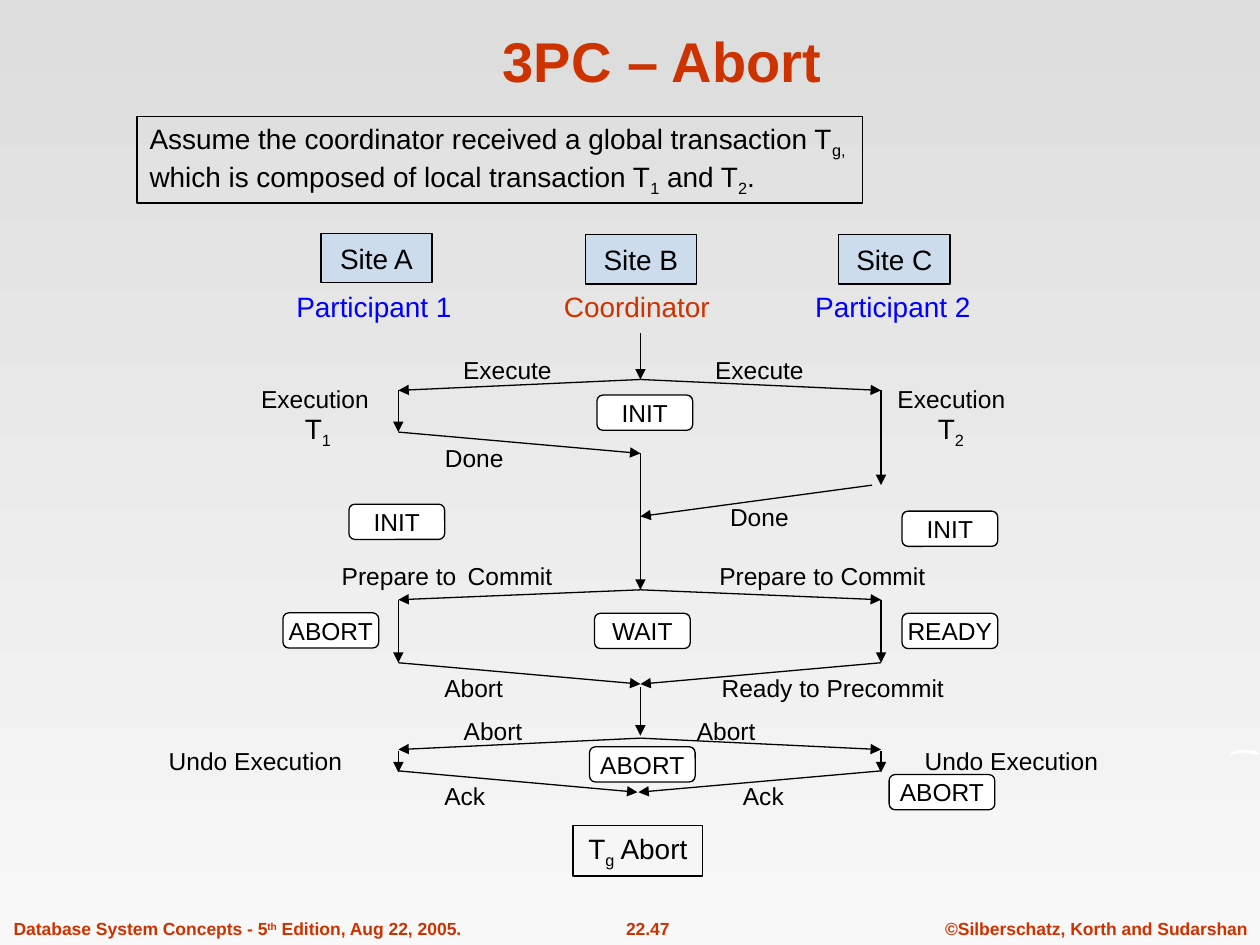
from dataclasses import dataclass
from typing import Optional

from lxml.etree import SubElement
from pptx import Presentation
from pptx.dml.color import RGBColor
from pptx.enum.shapes import MSO_CONNECTOR, MSO_SHAPE
from pptx.enum.text import MSO_ANCHOR, PP_ALIGN
from pptx.oxml.ns import qn
from pptx.util import Cm, Pt


@dataclass(frozen=True)
class Theme:
    font: str = "Arial"
    accent: str = "CC3300"
    participant: str = "0000FF"
    ink: str = "000000"
    site: str = "99CCFF"
    white: str = "FFFFFF"
    sky_top: str = "DDDDDD"
    sky_bottom: str = "F8F8F8"
    title_size: int = 32
    head_size: int = 16
    body_size: int = 14
    foot_size: int = 10
    line_width: float = 0.75


THEME = Theme()


@dataclass(frozen=True)
class Box:
    """Text centred on x, y (cm); |_x| is subscript and |^x| superscript."""
    text: str
    x: float
    y: float
    width: float = 3.0
    height: float = 0.8
    size: int = THEME.body_size
    color: str = THEME.ink
    bold: bool = False
    align: PP_ALIGN = PP_ALIGN.CENTER
    shape: Optional[MSO_SHAPE] = None
    fill: Optional[str] = None
    opacity: int = 100


@dataclass(frozen=True)
class Arrow:
    x1: float
    y1: float
    x2: float
    y2: float


def apply_format(target: object, values: dict) -> None:
    for name, value in values.items():
        setattr(target, name, value)


def write_text(paragraph, text: str, size: int, color: str, bold: bool) -> None:
    for piece in text.split("|"):
        if piece == "\n":
            paragraph.add_line_break()
            continue
        span = paragraph.add_run()
        span.text = piece.lstrip("_^")
        apply_format(span.font, {"name": THEME.font, "size": Pt(size), "bold": bold})
        span.font.color.rgb = RGBColor.from_string(color)
        if piece[0] in "_^":
            span.font._element.set("baseline", "-25000" if piece[0] == "_" else "30000")


def draw_box(page, box: Box) -> None:
    frame = (Cm(box.x - box.width / 2), Cm(box.y - box.height / 2),
             Cm(box.width), Cm(box.height))
    if box.shape is None:
        shape = page.shapes.add_textbox(*frame)
    else:
        shape = page.shapes.add_shape(box.shape, *frame)
        shape.shadow.inherit = False
        shape.line.color.rgb = RGBColor.from_string(THEME.ink)
        shape.line.width = Pt(THEME.line_width)
        if box.fill is None:
            shape.fill.background()
        else:
            shape.fill.solid()
            shape.fill.fore_color.rgb = RGBColor.from_string(box.fill)
        if box.opacity < 100:
            color = shape.element.spPr.find(qn("a:solidFill"))[0]
            SubElement(color, qn("a:alpha"), val=str(box.opacity * 1000))
    text_frame = shape.text_frame
    apply_format(text_frame, {
        "word_wrap": False, "vertical_anchor": MSO_ANCHOR.MIDDLE,
        "margin_left": Cm(0.25), "margin_right": Cm(0.25),
        "margin_top": Cm(0.13), "margin_bottom": Cm(0.13)})
    paragraph = text_frame.paragraphs[0]
    paragraph.alignment = box.align
    write_text(paragraph, box.text, box.size, box.color, box.bold)


def draw_arrow(page, arrow: Arrow) -> None:
    line = page.shapes.add_connector(
        MSO_CONNECTOR.STRAIGHT, Cm(arrow.x1), Cm(arrow.y1), Cm(arrow.x2), Cm(arrow.y2))
    line.line.color.rgb = RGBColor.from_string(THEME.ink)
    line.line.width = Pt(THEME.line_width)
    properties = line.element.spPr
    SubElement(properties.find(qn("a:ln")), qn("a:tailEnd"), type="triangle")
    SubElement(properties, qn("a:effectLst"))


def state(text: str, x: float, y: float, width: float = 1.93) -> Box:
    return Box(text, x, y, width, 0.71, shape=MSO_SHAPE.ROUNDED_RECTANGLE, fill=THEME.white)


def head(text: str, x: float, y: float, color: str = THEME.ink) -> Box:
    return Box(text, x, y, 4.5, size=THEME.head_size, color=color)


def site(text: str, x: float, y: float) -> Box:
    return Box(text, x, y, 2.24, 0.99, THEME.head_size,
               shape=MSO_SHAPE.RECTANGLE, fill=THEME.site, opacity=30)


def footer(text: str, x: float, width: float, align: PP_ALIGN = PP_ALIGN.CENTER) -> Box:
    return Box(text, x, 18.72, width, 0.69, THEME.foot_size, THEME.accent, True, align)


# Time lines of the three sites
LEFT, MIDDLE, RIGHT = 8.03, 12.91, 17.76

FOOTERS = [
    footer("Database System Concepts - 5|^th| Edition, Aug 22, 2005.", 4.84, 9.63, PP_ALIGN.LEFT),
    footer("22.47", 13.06, 2.69),
    footer("©Silberschatz, Korth and Sudarshan", 22.1, 6.6),
]

LABELS = [
    head("Participant 1", 7.54, 6.17, THEME.participant),
    head("Coordinator", 12.84, 6.17, THEME.accent),
    head("Participant 2", 18.0, 6.17, THEME.participant),
    Box("Execute", 10.23, 7.46), Box("Execute", 15.31, 7.46),
    Box("Execution", 6.35, 8.04), Box("Execution", 19.18, 8.04),
    head("T|_1", 6.41, 8.68), head("T|_2", 19.17, 8.68),
    Box("Done", 9.56, 9.23), Box("Done", 15.31, 10.42),
    Box("Prepare to\tCommit", 9.64, 11.61, 6.0, align=PP_ALIGN.LEFT),
    Box("Prepare to Commit", 16.58, 11.61, 6.0),
    Box("Abort", 9.55, 13.87), Box("Ready to Precommit", 16.79, 13.87, 6.0),
    Box("Abort", 9.94, 14.74), Box("Abort", 14.64, 14.74),
    Box("Undo Execution", 5.15, 15.34, 5.0), Box("Undo Execution", 20.39, 15.34, 5.0),
    Box("Ack", 9.37, 16.05), Box("Ack", 15.39, 16.05),
]

# The coordinator sends each message to both participants
BROADCASTS = [Arrow(MIDDLE, start, side, end)
              for start, end in ((7.65, 7.87), (11.89, 12.09), (14.88, 15.11))
              for side in (LEFT, RIGHT)]
REPLIES = [
    Arrow(LEFT, 8.71, MIDDLE, 9.14), Arrow(17.58, 9.78, MIDDLE, 10.41),
    Arrow(LEFT, 13.36, MIDDLE, 13.79), Arrow(RIGHT, 13.36, MIDDLE, 13.79),
    Arrow(LEFT, 15.54, 12.85, 15.97), Arrow(RIGHT, 15.54, 12.87, 15.97),
]
LOCAL_STEPS = [Arrow(x, start, x, end) for x, start, end in (
    (MIDDLE, 6.71, 7.65), (LEFT, 7.87, 8.71), (RIGHT, 7.87, 9.78),
    (MIDDLE, 9.14, 11.89), (LEFT, 12.09, 13.36), (RIGHT, 12.09, 13.36),
    (MIDDLE, 13.84, 14.83), (LEFT, 15.14, 15.57), (RIGHT, 15.14, 15.57))]

FRAMES = [
    site("Site A", 7.59, 5.2), site("Site B", 12.92, 5.23), site("Site C", 18.03, 5.23),
    Box("T|_g| Abort", 12.86, 17.15, 2.62, 1.02, THEME.head_size, shape=MSO_SHAPE.RECTANGLE),
    Box("Assume the coordinator received a global transaction T|_g,|\n|"
        "which is composed of local transaction T|_1| and T|_2|.", 10.08, 3.22, 14.63, 1.75,
        THEME.head_size, align=PP_ALIGN.LEFT, shape=MSO_SHAPE.RECTANGLE),
]

STATES = [
    state("INIT", 13.0, 8.32), state("INIT", 8.0, 10.52), state("INIT", 19.15, 10.66),
    state("WAIT", 12.95, 12.72), state("ABORT", 6.67, 12.71), state("READY", 19.15, 12.72),
    state("ABORT", 12.95, 15.41, 2.13), state("ABORT", 18.99, 15.97, 2.13),
]

SWOOSH = [(24.77, 15.27), (24.83, 15.17), (25.02, 15.11), (25.3, 15.14),
          (25.4, 15.19), (25.36, 15.22), (25.2, 15.19), (25.0, 15.17), (24.86, 15.2)]


def draw_background(page) -> None:
    fill = page.background.fill
    fill.gradient()
    fill.gradient_angle = 270
    for stop, color in zip(fill.gradient_stops, (THEME.sky_top, THEME.sky_bottom)):
        stop.color.rgb = RGBColor.from_string(color)
    points = [(Cm(x), Cm(y)) for x, y in SWOOSH]
    builder = page.shapes.build_freeform(*points[0])
    builder.add_line_segments(points[1:], close=True)
    swoosh = builder.convert_to_shape()
    swoosh.shadow.inherit = False
    swoosh.fill.solid()
    swoosh.fill.fore_color.rgb = RGBColor.from_string(THEME.white)
    swoosh.line.fill.background()


def draw_title(page, text: str) -> None:
    title = page.shapes.title
    apply_format(title, {"left": Cm(2.13), "top": Cm(0.31),
                         "width": Cm(22.43), "height": Cm(1.7)})
    title.text_frame.vertical_anchor = MSO_ANCHOR.BOTTOM
    paragraph = title.text_frame.paragraphs[0]
    paragraph.alignment = PP_ALIGN.CENTER
    write_text(paragraph, text, THEME.title_size, THEME.accent, True)


def main() -> None:
    deck = Presentation()
    apply_format(deck, {"slide_width": Cm(25.4), "slide_height": Cm(19.05)})
    page = deck.slides.add_slide(deck.slide_layouts[5])
    draw_background(page)
    draw_title(page, "3PC – Abort")
    for box in FOOTERS + LABELS:
        draw_box(page, box)
    for arrow in BROADCASTS + REPLIES + LOCAL_STEPS:
        draw_arrow(page, arrow)
    for box in FRAMES + STATES:
        draw_box(page, box)
    deck.save("out.pptx")


if __name__ == "__main__":
    main()
